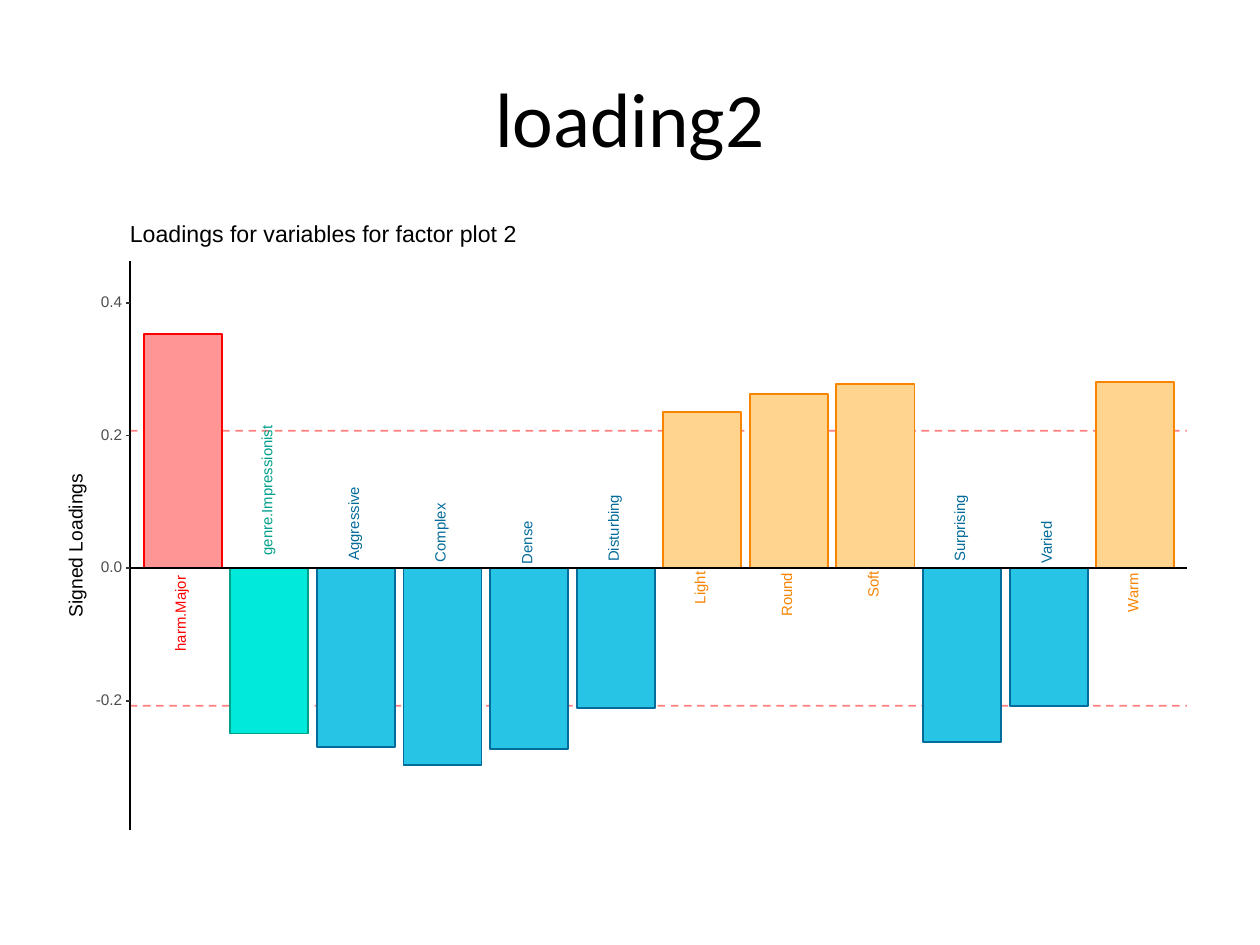
from lxml.etree import SubElement
from pptx import Presentation
from pptx.dml.color import RGBColor
from pptx.enum.dml import MSO_LINE
from pptx.enum.shapes import MSO_CONNECTOR, MSO_SHAPE
from pptx.enum.text import MSO_ANCHOR, PP_ALIGN
from pptx.oxml.ns import qn
from pptx.util import Inches, Pt

BLACK = RGBColor(0x00, 0x00, 0x00)
WHITE = RGBColor(0xFF, 0xFF, 0xFF)
RED = RGBColor(0xFF, 0x00, 0x00)
TICK_GRAY = RGBColor(0x33, 0x33, 0x33)
TEXT_GRAY = RGBColor(0x4D, 0x4D, 0x4D)

# Group: (fill, outline and label colour)
GROUP_COLORS = {
    "harmony": (RGBColor(0xFF, 0x95, 0x95), RED),
    "genre": (RGBColor(0x00, 0xE9, 0xDA), RGBColor(0x00, 0xA0, 0x8A)),
    "negative": (RGBColor(0x27, 0xC4, 0xE5), RGBColor(0x04, 0x6C, 0x9A)),
    "positive": (RGBColor(0xFF, 0xD4, 0x8E), RGBColor(0xF9, 0x84, 0x00)),
}
# Variable, loading, group, label length and height in inches
LOADINGS = [
    ("harm.Major", 0.353, "harmony", 0.6, 0.11),
    ("genre.Impressionist", -0.249, "genre", 1.03, 0.11),
    ("Aggressive", -0.269, "negative", 0.59, 0.11),
    ("Complex", -0.296, "negative", 0.47, 0.11),
    ("Dense", -0.273, "negative", 0.34, 0.09),
    ("Disturbing", -0.211, "negative", 0.53, 0.11),
    ("Light", 0.235, "positive", 0.26, 0.11),
    ("Round", 0.263, "positive", 0.35, 0.09),
    ("Soft", 0.277, "positive", 0.21, 0.09),
    ("Surprising", -0.262, "negative", 0.53, 0.11),
    ("Varied", -0.207, "negative", 0.34, 0.09),
    ("Warm", 0.281, "positive", 0.32, 0.09),
]
TICKS = [("-0.2", -0.2, 0.21), ("0.0", 0, 0.17), ("0.2", 0.2, 0.17), ("0.4", 0.4, 0.17)]
THRESHOLD = 0.207

AXIS_LEFT, AXIS_RIGHT = 1.03, 9.42
AXIS_TOP, AXIS_BOTTOM = 2.07, 6.59
ZERO_Y, UNIT = 4.51, 5.27
BAR_LEFT, BAR_WIDTH = 1.14, 0.62
BAR_STEP = (8.7 - BAR_LEFT) / (len(LOADINGS) - 1)
LINE_WIDTH = Pt(1.07)
TEXT_SLACK = 0.04  # keeps each label on one line


def value_y(value):
    """Return the height on the page of a loading value."""
    return ZERO_Y - value * UNIT


def add_box(left, top, width, height, fill, line):
    """Add a filled, outlined rectangle."""
    box = page.shapes.add_shape(
        MSO_SHAPE.RECTANGLE, Inches(left), Inches(top), Inches(width), Inches(height))
    box.shadow.inherit = False
    box.fill.solid()
    box.fill.fore_color.rgb = fill
    box.line.color.rgb = line
    box.line.width = LINE_WIDTH


def add_line(x1, y1, x2, y2, color, dashed=False):
    """Add a straight line; a dashed one is half transparent."""
    line = page.shapes.add_connector(
        MSO_CONNECTOR.STRAIGHT, Inches(x1), Inches(y1), Inches(x2), Inches(y2))
    line.line.color.rgb = color
    line.line.width = LINE_WIDTH
    if dashed:
        line.line.dash_style = MSO_LINE.DASH
        color_node = line._element.spPr.find(".//" + qn("a:srgbClr"))
        SubElement(color_node, qn("a:alpha"), val="50000")
    SubElement(line._element.spPr, qn("a:effectLst"))


def add_text(text, center_x, center_y, width, height, size, color, rotation=0):
    """Add one line of text centred on a point."""
    width += TEXT_SLACK
    box = page.shapes.add_textbox(
        Inches(center_x - width / 2), Inches(center_y - height / 2),
        Inches(width), Inches(height))
    box.rotation = rotation
    frame_format = {
        "margin_left": 0, "margin_right": 0, "margin_top": 0, "margin_bottom": 0,
        "word_wrap": False, "vertical_anchor": MSO_ANCHOR.MIDDLE,
    }
    for name, setting in frame_format.items():
        setattr(box.text_frame, name, setting)
    para = box.text_frame.paragraphs[0]
    para.alignment = PP_ALIGN.CENTER
    para.line_spacing = Pt(size)
    span = para.add_run()
    span.text = text
    span.font.name, span.font.size = "Arial", Pt(size)
    span.font.color.rgb = color


deck = Presentation()
deck.slide_width, deck.slide_height = Inches(10), Inches(7.5)
page = deck.slides.add_slide(deck.slide_layouts[5])

title = page.shapes.title
title_place = {"left": 0.5, "top": 0.3, "width": 9, "height": 1.25}
for name, length in title_place.items():
    setattr(title, name, Inches(length))
title.text_frame.text = "loading2"
title.text_frame.vertical_anchor = MSO_ANCHOR.MIDDLE
title_para = title.text_frame.paragraphs[0]
title_para.alignment = PP_ALIGN.CENTER
title_font = title_para.runs[0].font
title_font.name, title_font.size = "Calibri", Pt(44)
title_font.color.rgb = BLACK

add_box(0.5, 1.75, 9, 4.95, WHITE, WHITE)
for value in (THRESHOLD, -THRESHOLD):
    add_line(AXIS_LEFT, value_y(value), AXIS_RIGHT, value_y(value), RED, dashed=True)

for index, (_, value, group, _, _) in enumerate(LOADINGS):
    add_box(BAR_LEFT + index * BAR_STEP, value_y(max(value, 0)),
            BAR_WIDTH, abs(value) * UNIT, *GROUP_COLORS[group])

# Each label sits across the zero line from its bar, a tenth of its length away
for index, (label, value, group, length, height) in enumerate(LOADINGS):
    center_x = BAR_LEFT + index * BAR_STEP + BAR_WIDTH / 2 - 0.01
    offset = 0.6 * length if value > 0 else -0.6 * length
    add_text(label, center_x, ZERO_Y + offset, length, height, 8.5,
             GROUP_COLORS[group][1], rotation=270)

add_line(AXIS_LEFT, ZERO_Y, AXIS_RIGHT, ZERO_Y, BLACK)
add_line(AXIS_LEFT, AXIS_BOTTOM, AXIS_LEFT, AXIS_TOP, BLACK)
for label, value, width in TICKS:
    add_text(label, 0.97 - width / 2, value_y(value), width, 0.09, 8.8, TEXT_GRAY)
    add_line(1, value_y(value), AXIS_LEFT, value_y(value), TICK_GRAY)

add_text("Signed Loadings", 0.61, 4.33, 1.14, 0.14, 11, BLACK, rotation=270)
add_text("Loadings for variables for factor plot 2",
         AXIS_LEFT + 3.07 / 2, 1.87, 3.07, 0.17, 13.2, BLACK)

deck.save("out.pptx")
